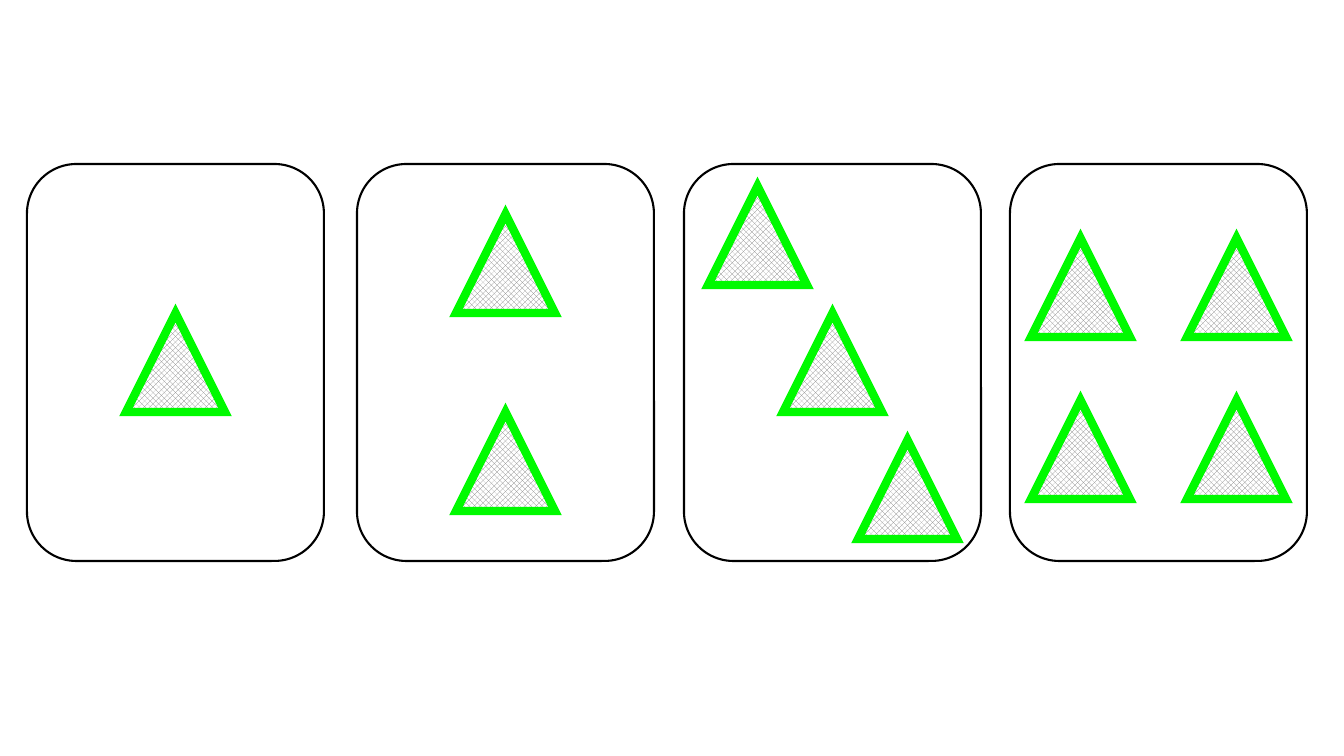
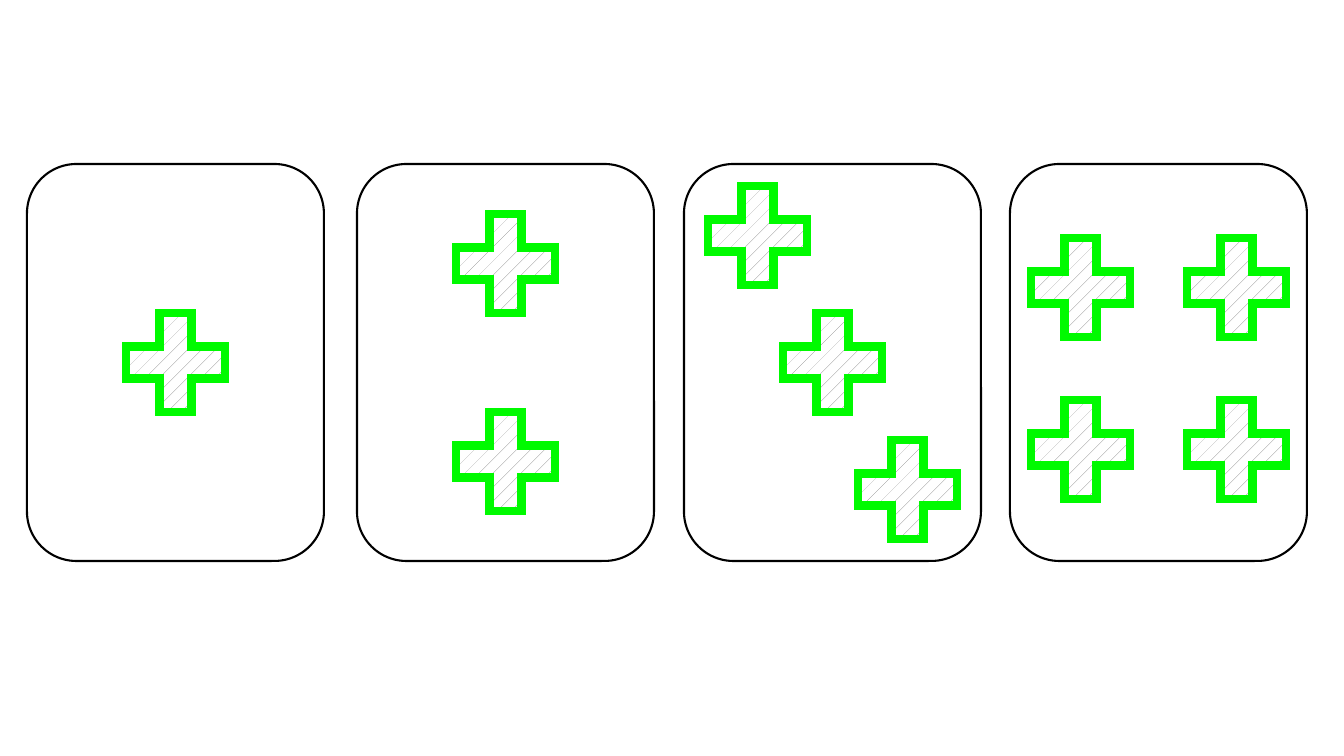
from dataclasses import dataclass
from itertools import product
from typing import NamedTuple

from pptx import Presentation
from pptx.dml.color import RGBColor
from pptx.enum.dml import MSO_PATTERN as Pattern
from pptx.enum.shapes import MSO_SHAPE as Shape
from pptx.oxml.ns import qn
from pptx.oxml.xmlchemy import OxmlElement
from pptx.util import Emu, Pt

PIXEL = 914400 / 100.8
PAGE_WIDTH, PAGE_HEIGHT = 1344, 756


@dataclass(frozen=True)
class Theme:
    """Colours and line widths (points) shared by the slides."""
    paper: RGBColor = RGBColor(0xFF, 0xFF, 0xFF)
    card_edge: RGBColor = RGBColor(0x00, 0x00, 0x00)
    symbol_edge: RGBColor = RGBColor(0x00, 0xFA, 0x00)
    hatch: RGBColor = RGBColor(0x80, 0x80, 0x80)
    card_line: float = 1.5
    symbol_line: float = 6


class Box(NamedTuple):
    """A rectangle in pixels."""
    left: float
    top: float
    width: float
    height: float


class Symbol(NamedTuple):
    """The outline and hatching of one slide's symbols."""
    outline: Shape
    pattern: Pattern
    adjustments: tuple = ()


THEME = Theme()
CARD_LEFTS = (27, 357, 684, 1010)
CARD_TOP, CARD_WIDTH, CARD_HEIGHT = 164, 297, 397
SYMBOL_SIZE = 99

# Symbol centres on each card, as offsets from the card's centre.
CARD_OFFSETS = (
    [(0, 0)],
    [(0, -99), (0, 99)],
    [(75 * step, 127 * step) for step in (-1, 0, 1)],
    list(product((-78, 78), (-75, 87))),
)

SYMBOLS = (
    Symbol(Shape.ISOSCELES_TRIANGLE, Pattern.SOLID_DIAMOND),
    Symbol(Shape.CROSS, Pattern.PERCENT_5, (0.34,)),
)


def add_outlined(page, outline, box, colour, line_width):
    """Add a shape in the box with a plain, sharp-cornered outline."""
    shape = page.shapes.add_shape(outline, *(Emu(round(length * PIXEL)) for length in box))
    shape.shadow.inherit = False
    shape.line.color.rgb = colour
    shape.line.width = Pt(line_width)
    miter = OxmlElement("a:miter")
    miter.set("lim", "800000")
    shape.element.spPr.find(qn("a:ln")).append(miter)
    return shape


def add_symbol(page, symbol, box):
    """Fill the box with one hatched symbol."""
    shape = add_outlined(page, symbol.outline, box, THEME.symbol_edge, THEME.symbol_line)
    for index, value in enumerate(symbol.adjustments):
        shape.adjustments[index] = value
    shape.fill.patterned()
    shape.fill.pattern = symbol.pattern
    shape.fill.fore_color.rgb = THEME.hatch
    shape.fill.back_color.rgb = THEME.paper


def add_card(page, symbol, offsets, box):
    """Draw a rounded card and its symbols around the centre of the box."""
    card = add_outlined(page, Shape.ROUNDED_RECTANGLE, box, THEME.card_edge, THEME.card_line)
    card.fill.solid()
    card.fill.fore_color.rgb = THEME.paper
    left = box.left + (box.width - SYMBOL_SIZE) / 2
    top = box.top + (box.height - SYMBOL_SIZE) / 2
    for across, down in offsets:
        add_symbol(page, symbol, Box(left + across, top + down, SYMBOL_SIZE, SYMBOL_SIZE))


def add_card_page(deck, symbol):
    """Add a slide with cards bearing one to four symbols."""
    page = deck.slides.add_slide(deck.slide_layouts[6])
    for left, offsets in zip(CARD_LEFTS, CARD_OFFSETS):
        add_card(page, symbol, offsets, Box(left, CARD_TOP, CARD_WIDTH, CARD_HEIGHT))


def main():
    """Build and save the deck."""
    deck = Presentation()
    deck.slide_width = Emu(round(PAGE_WIDTH * PIXEL))
    deck.slide_height = Emu(round(PAGE_HEIGHT * PIXEL))
    for symbol in SYMBOLS:
        add_card_page(deck, symbol)
    deck.save("out.pptx")


main()
